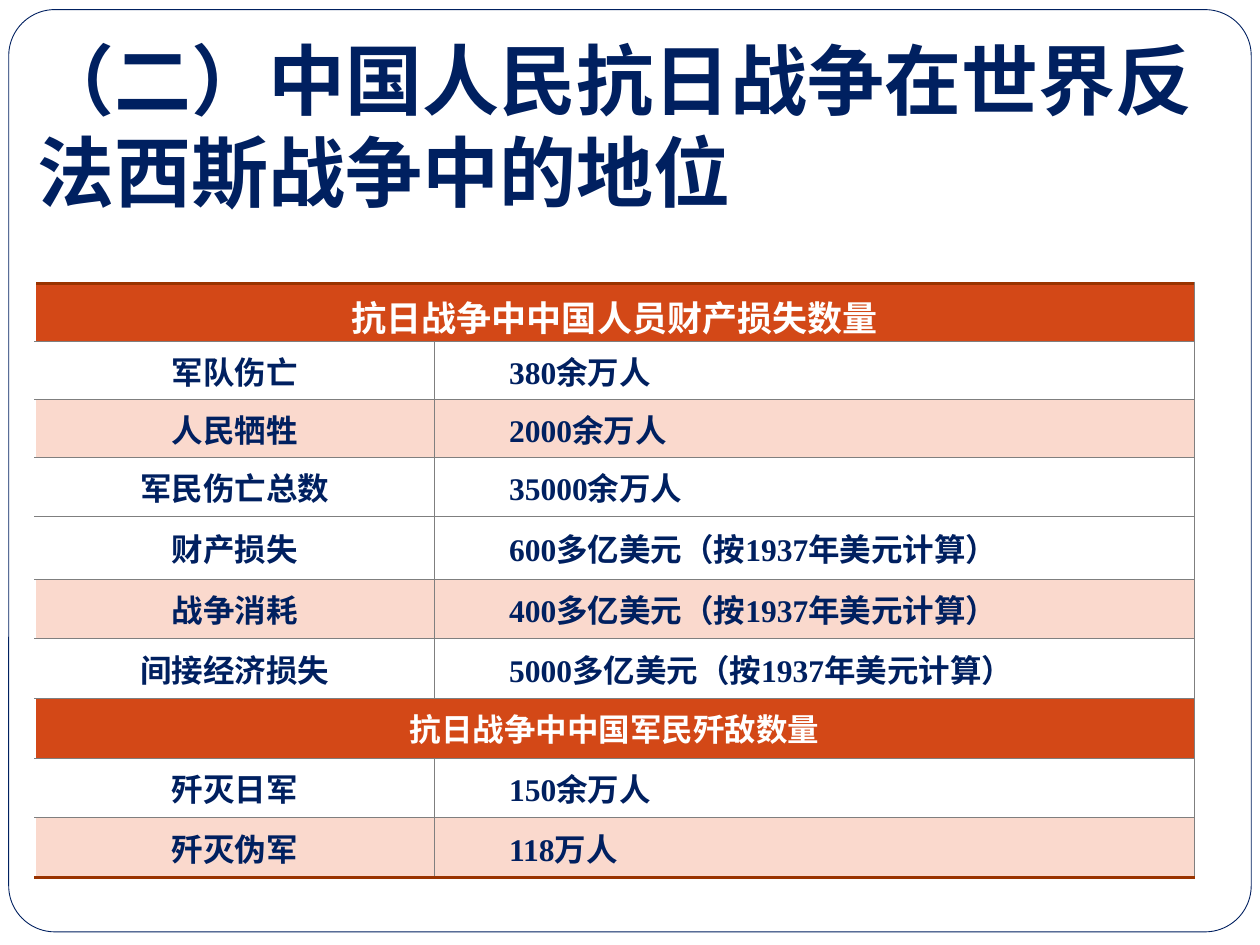
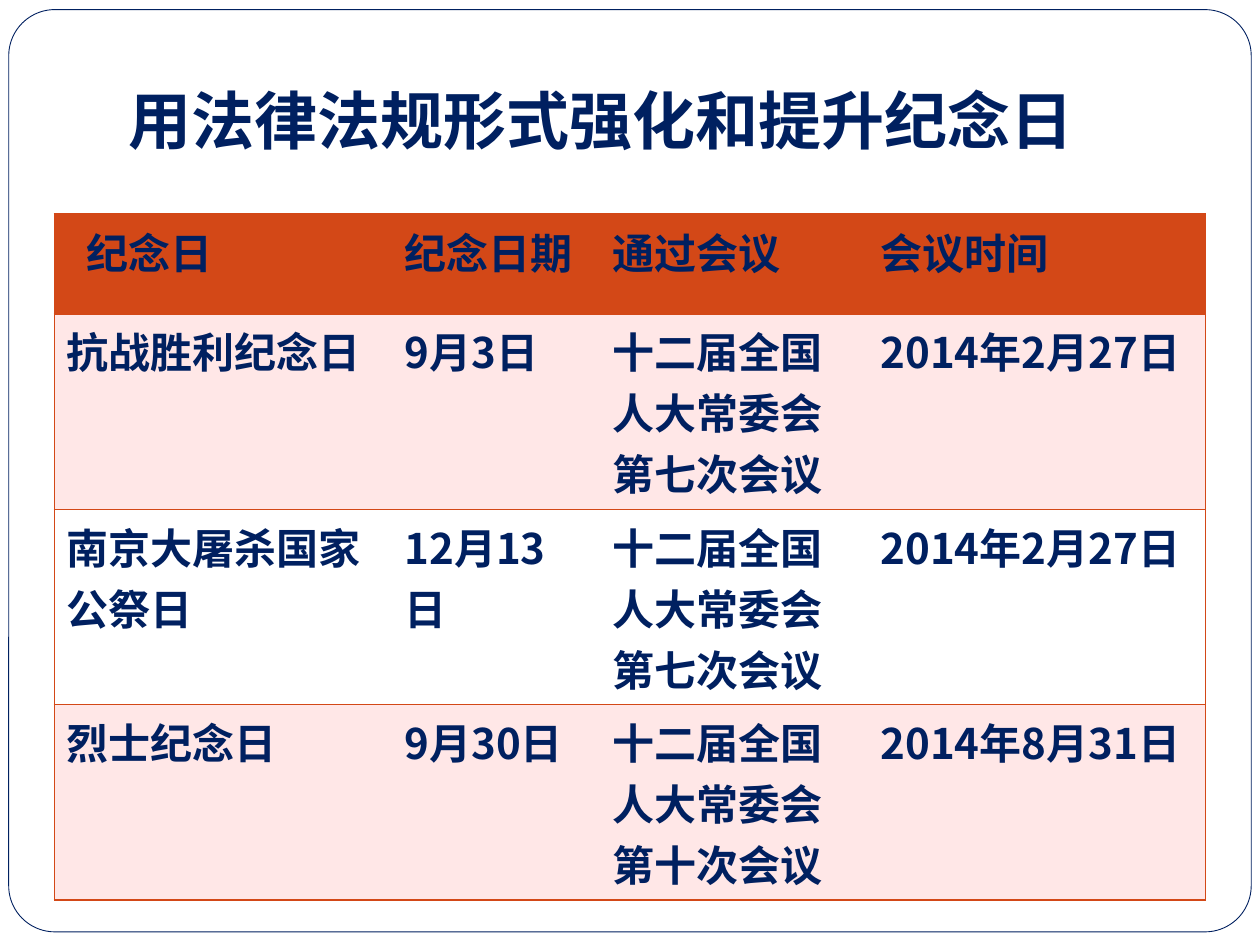
"""Build two slides of tables about the war and its memorial days."""
from dataclasses import dataclass

from lxml import etree
from pptx import Presentation
from pptx import util as u
from pptx.dml.color import RGBColor
from pptx.enum import shapes, text
from pptx.oxml.ns import qn

Pt = u.Pt


@dataclass(frozen=True)
class Theme:
    navy: str = "002060"
    white: str = "FFFFFF"
    orange: str = "D34817"
    rust: str = "993300"
    grey: str = "7F7F7F"
    peach: str = "FAD9CD"
    pink: str = "FFE7E7"
    sans: str = "Noto Sans CJK SC"
    serif: str = "Times New Roman"
    arial: str = "Arial"
    display: str = "Roboto"
    big_title: int = 44
    title: int = 36
    heading: int = 20
    body: int = 18
    days: int = 24
    no_style: str = "{2D5ABB26-0587-4C30-8999-92F81FD0307C}"


THEME = Theme()


class Builder:
    def __init__(self, theme):
        self.theme = theme
        self.deck = Presentation()
        self.deck.slide_width, self.deck.slide_height = Pt(720), Pt(540)
        self.page = None

    def add_page(self):
        self.page = self.deck.slides.add_slide(self.deck.slide_layouts[5])
        frame = self.page.shapes.add_shape(
            shapes.MSO_SHAPE.ROUNDED_RECTANGLE, Pt(5), Pt(5.5), Pt(710), Pt(527))
        frame.adjustments[0] = 0.05
        frame.shadow.inherit = False
        frame.fill.solid()
        frame.fill.fore_color.rgb = RGBColor.from_string(self.theme.white)
        frame.line.color.rgb = RGBColor.from_string(self.theme.navy)
        frame.line.width = Pt(0.5)
        self.page.shapes._spTree.insert(2, frame._element)

    def set_text(self, box, wording, size, latin, asian, color=None, align=text.PP_ALIGN.LEFT):
        box.text = wording
        para = box.paragraphs[0]
        para.alignment = align
        font = para.font
        font.size, font.bold, font.name = Pt(size), True, latin
        font.color.rgb = RGBColor.from_string(color or self.theme.navy)
        east = etree.Element(qn("a:ea"), typeface=asian)
        font._rPr.find(qn("a:latin")).addnext(east)

    def set_margins(self, target, left, top, right, bottom):
        target.margin_left, target.margin_top = Pt(left), Pt(top)
        target.margin_right, target.margin_bottom = Pt(right), Pt(bottom)

    def add_title(self, wording, place, margins, anchor, size, font):
        title = self.page.shapes.title
        title.left, title.top, title.width, title.height = map(Pt, place)
        box = title.text_frame
        box.word_wrap, box.auto_size = True, text.MSO_AUTO_SIZE.NONE
        box.vertical_anchor = anchor
        self.set_margins(box, *margins)
        self.set_text(box, wording, size, font, font)

    def add_table(self, left, top, widths, heights):
        holder = self.page.shapes.add_table(
            len(heights), len(widths), Pt(left), Pt(top), Pt(sum(widths)), Pt(sum(heights)))
        table = holder.table
        table.first_row = table.horz_banding = False
        table._tbl.tblPr.find(qn("a:tableStyleId")).text = self.theme.no_style
        for column, width in zip(table.columns, widths):
            column.width = Pt(width)
        for row, height in zip(table.rows, heights):
            row.height = Pt(height)
        return table

    def style_cell(self, cell, fill, edges, margins, anchor):
        """Give a cell its fill, margins and edges, keyed L, R, T and B."""
        self.set_margins(cell, *margins)
        cell.vertical_anchor = anchor
        cell.fill.solid()
        cell.fill.fore_color.rgb = RGBColor.from_string(fill)
        sides = [side for side in "LRTB" if side in edges]
        for place, side in enumerate(sides):
            color, width = edges[side]
            line = etree.Element(qn(f"a:ln{side}"), w=str(Pt(width)))
            solid = etree.SubElement(line, qn("a:solidFill"))
            etree.SubElement(solid, qn("a:srgbClr"), val=color)
            cell._tc.get_or_add_tcPr().insert(place, line)


def build_losses(builder):
    theme = builder.theme
    builder.add_page()
    builder.add_title("（二）中国人民抗日战争在世界反法西斯战争中的地位", (14.4, 15, 686, 119),
                      (7.2, 3.6, 7.2, 3.6), text.MSO_ANCHOR.TOP, theme.big_title, theme.display)
    rows = [
        ("抗日战争中中国人员财产损失数量",),
        ("军队伤亡", "380余万人"),
        ("人民牺牲", "2000余万人"),
        ("军民伤亡总数", "35000余万人"),
        ("财产损失", "600多亿美元（按1937年美元计算）"),
        ("战争消耗", "400多亿美元（按1937年美元计算）"),
        ("间接经济损失", "5000多亿美元（按1937年美元计算）"),
        ("抗日战争中中国军民歼敌数量",),
        ("歼灭日军", "150余万人"),
        ("歼灭伪军", "118万人"),
    ]
    shaded = ("人民牺牲", "战争消耗", "歼灭伪军")
    last = len(rows) - 1
    table = builder.add_table(20, 162, (228.5, 434), [33.1] * 4 + [36] + [34.1] * 5)
    thin, thick = (theme.grey, 0.5), (theme.rust, 2.25)
    for index, row in enumerate(rows):
        is_band = len(row) == 1
        fill = theme.orange if is_band else theme.peach if row[0] in shaded else theme.white
        for column in range(2):
            edges = {"L": thin if column else (theme.white, 1), "R": thin,
                     "T": thick if index == 0 else thin,
                     "B": thick if index == last else thin}
            margins = (42.5, 3.6, 8.6, 3.6) if column else (0, 0 if index else 4, 0, 0)
            builder.style_cell(table.cell(index, column), fill, edges, margins,
                               text.MSO_ANCHOR.MIDDLE)
        if is_band:
            table.cell(index, 0).merge(table.cell(index, 1))
        for column, wording in enumerate(row):
            builder.set_text(table.cell(index, column).text_frame, wording,
                             theme.body if index else theme.heading, theme.serif, theme.sans,
                             theme.white if is_band else theme.navy,
                             text.PP_ALIGN.LEFT if column else text.PP_ALIGN.CENTER)


def build_memorial_days(builder):
    theme = builder.theme
    builder.add_page()
    builder.add_title("用法律法规形式强化和提升纪念日", (50.4, 44.6, 624, 52.6),
                      (23.2, 3.6, 7.2, 7.2), text.MSO_ANCHOR.BOTTOM, theme.title, theme.sans)
    seventh = "十二届全国人大常委会第七次会议"
    rows = [
        ("纪念日", "纪念日期", "通过会议", "会议时间"),
        ("抗战胜利纪念日", "9月3日", seventh, "2014年2月27日"),
        ("南京大屠杀国家公祭日", "12月13日", seventh, "2014年2月27日"),
        ("烈士纪念日", "9月30日", "十二届全国人大常委会第十次会议", "2014年8月31日"),
    ]
    table = builder.add_table(31, 122.4, (193, 119, 153, 193), [57] + [89.3] * 3)
    border = (theme.orange, 1)
    for index, row in enumerate(rows):
        fill = (theme.pink if index % 2 else theme.white) if index else theme.orange
        for column, wording in enumerate(row):
            edges = {"T": border, "B": border}
            if column == 0:
                edges["L"] = border
            if column == len(row) - 1:
                edges["R"] = border
            cell = table.cell(index, column)
            indent = 18.2 if index == column == 0 else 7.2
            builder.style_cell(cell, fill, edges, (indent, 3.6, 7.2, 3.6), text.MSO_ANCHOR.TOP)
            builder.set_text(cell.text_frame, wording, theme.days,
                             theme.sans if index else theme.arial, theme.sans)


def main():
    builder = Builder(THEME)
    build_losses(builder)
    build_memorial_days(builder)
    builder.deck.save("out.pptx")


if __name__ == "__main__":
    main()
